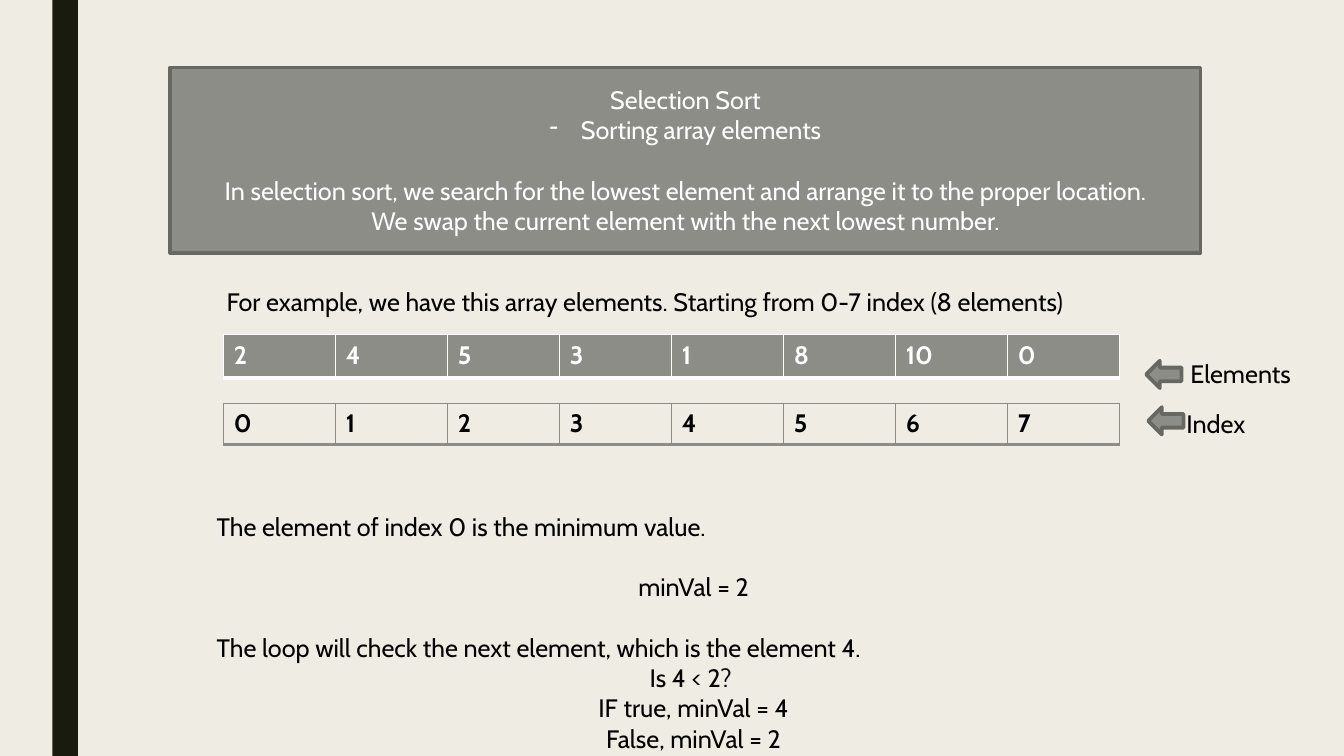
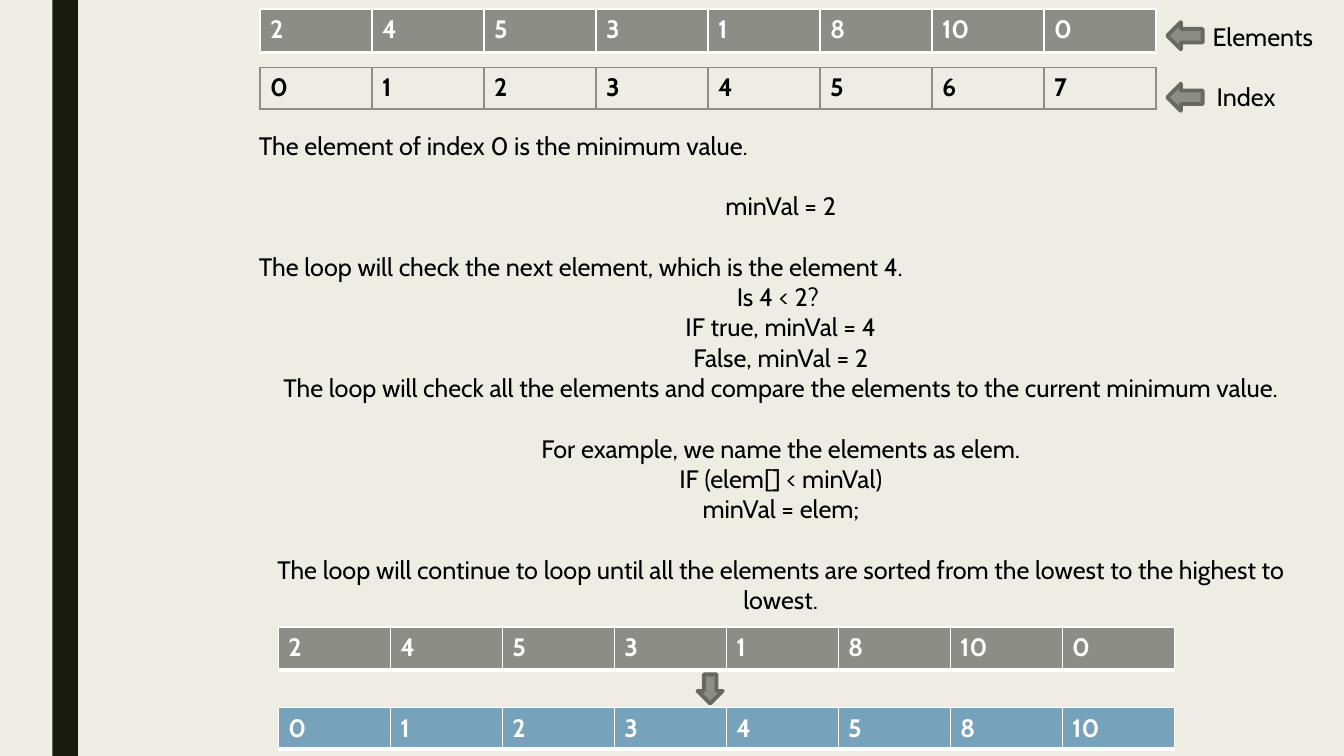
from collections import namedtuple

from lxml.etree import SubElement
from pptx import Presentation
from pptx.dml.color import RGBColor
from pptx.enum.shapes import MSO_SHAPE as SHAPE
from pptx.enum.text import MSO_ANCHOR as ANCHOR, MSO_AUTO_SIZE as AUTO, PP_ALIGN as ALIGN
from pptx.oxml.ns import qn
from pptx.util import Emu, Inches, Pt

W, H = Inches(13.333), Inches(7.5)
COL, ROW = W / 100, H / 100  # all places are given on a 100 x 100 grid
FONT, SIZE, LINE_GAP = "Cabin", 18, 21.75
PAPER, BAND, GREY, EDGE, BLUE = "EFEDE3", "191B0E", "8C8D86", "686863", "77A2BB"
WHITE, BLACK = "FFFFFF", "000000"
TABLE_W, ELEMENT_H, INDEX_H, LABEL_W, LABEL_H = 66.67, 5.73, 5.47, 9.83, 5.33

Line = namedtuple("Line", "text centred gap bullet", defaults=(False, False, False))

ELEMENTS = [2, 4, 5, 3, 1, 8, 10, 0]
INTRO = [
    Line("Selection Sort", True),
    Line("Sorting array elements", True, bullet=True),
    Line("In selection sort, we search for the lowest element and arrange it "
         "to the proper location.", True, gap=True),
    Line("We swap the current element with the next lowest number.", True),
]
FIRST_CHECK = [
    Line("The element of index 0 is the minimum value."),
    Line("minVal = 2", True, gap=True),
    Line("The loop will check the next element, which is the element 4.", gap=True),
    Line("Is 4 < 2? ", True),
    Line("IF true, minVal = 4", True),
    Line("False, minVal = 2", True),
]
FULL_LOOP = [
    Line("The loop will check all the elements and compare the elements to the "
         "current minimum value.", True),
    Line("For example, we name the elements as elem.", True, gap=True),
    Line("IF (elem[] < minVal)", True),
    Line("minVal = elem;", True),
    Line("The loop will continue to loop until all the elements are sorted from "
         "the lowest to the highest to lowest.", True, gap=True),
]


def rgb(value):
    """Turn a hex string into a colour."""
    return RGBColor.from_string(value)


def place(x, y, w, h):
    """Turn grid columns and rows into slide lengths."""
    return [Emu(round(n * unit)) for n, unit in zip((x, y, w, h), (COL, ROW) * 2)]


def style(p, color, bold=False):
    """Give the runs of a paragraph the common font."""
    for r in p.runs:
        r.font.name, r.font.size, r.font.bold = FONT, Pt(SIZE), bold
        r.font.color.rgb = rgb(color)


def add_dash(p):
    """Give a paragraph a hanging dash bullet."""
    pPr = p._p.get_or_add_pPr()
    pPr.set("marL", str(Inches(0.31)))
    pPr.set("indent", str(-Inches(0.31)))
    SubElement(pPr, qn("a:buChar")).set("char", "-")


def write(tf, lines, color):
    """Fill a text frame, one paragraph a line."""
    tf.text = "\n".join(line.text for line in lines)
    for p, line in zip(tf.paragraphs, lines):
        p.alignment = ALIGN.CENTER if line.centred else ALIGN.LEFT
        if line.gap:
            p.space_before = Pt(LINE_GAP)
        if line.bullet:
            add_dash(p)
        style(p, color)


def add_block(s, kind, box, fill=GREY, edge=EDGE):
    """Add a filled preset shape, outlined if an edge colour is given."""
    sp = s.shapes.add_shape(kind, *place(*box))
    sp.shadow.inherit = False
    sp.fill.solid()
    sp.fill.fore_color.rgb = rgb(fill)
    if edge:
        sp.line.color.rgb = rgb(edge)
        sp.line.width = Pt(2.75)
    else:
        sp.line.fill.background()
    return sp


def add_text(s, box, lines):
    """Add a wrapping text box in black."""
    tf = s.shapes.add_textbox(*place(*box)).text_frame
    tf.word_wrap = True
    tf.auto_size = AUTO.SHAPE_TO_FIT_TEXT
    write(tf, lines, BLACK)


def add_label(s, x, y, text):
    """Add the name of a table row."""
    add_text(s, (x, y, LABEL_W, LABEL_H), [Line(text)])


def add_left_arrow(s, x, y):
    """Add an arrow that points at a table row."""
    add_block(s, SHAPE.LEFT_ARROW, (x, y, 2.63, 3.6))


def set_borders(cell, color, bottom):
    """Draw thin cell borders with a heavier bottom one."""
    tcPr = cell._tc.get_or_add_tcPr()
    for side in "LRTB":
        width = Pt(bottom if side == "B" else 1)
        ln = SubElement(tcPr, qn(f"a:ln{side}"), w=str(width))
        SubElement(SubElement(ln, qn("a:solidFill")), qn("a:srgbClr"), val=color)


def add_array(s, x, y, h, values, fill=None):
    """Add a one-row table: white on a fill, or black with grey borders."""
    frame = s.shapes.add_table(1, len(values), *place(x, y, TABLE_W, h))
    table = frame.table
    table.first_row = table.horz_banding = False
    for cell, value in zip(table.rows[0].cells, values):
        cell.text = str(value)
        style(cell.text_frame.paragraphs[0], WHITE if fill else BLACK, bold=True)
        set_borders(cell, WHITE if fill else GREY, 3 if fill else 2)
        if fill:
            cell.fill.solid()
            cell.fill.fore_color.rgb = rgb(fill)
        else:
            cell.fill.background()


def add_elements(s, x, y):
    """Add the unsorted array."""
    add_array(s, x, y, ELEMENT_H, ELEMENTS, GREY)


def add_index(s, x, y):
    """Add the row of index numbers."""
    add_array(s, x, y, INDEX_H, range(len(ELEMENTS)))


def set_master(prs, s):
    """Put the background and the side band on the slide master."""
    master = prs.slide_master
    master.background.fill.solid()
    master.background.fill.fore_color.rgb = rgb(PAPER)
    band = add_block(s, SHAPE.RECTANGLE, (3.9, 0, 1.9, 100), BAND, None)
    band.element.nvSpPr.cNvPr.set("id", "20")
    master.shapes.element.append(band.element)


def build_intro(s):
    """Build the slide that introduces selection sort."""
    panel = add_block(s, SHAPE.RECTANGLE, (12.68, 8.93, 76.65, 24.53))
    panel.text_frame.word_wrap = True
    panel.text_frame.vertical_anchor = ANCHOR.MIDDLE
    write(panel.text_frame, INTRO, WHITE)
    add_elements(s, 16.65, 44.27)
    add_text(s, (16.12, 37.2, TABLE_W, LABEL_H), [
        Line("For example, we have this array elements. "
             "Starting from 0-7 index (8 elements)")])
    add_index(s, 16.65, 53.33)
    add_label(s, 87.53, 53.33, "Index")
    add_left_arrow(s, 85.43, 53.87)
    add_label(s, 87.83, 46.67, "Elements")
    add_left_arrow(s, 85.28, 47.73)
    add_text(s, (15.38, 66.93, 72.45, 37.73), FIRST_CHECK)


def build_loop(s):
    """Build the slide that follows the loop to the sorted array."""
    add_elements(s, 19.35, 1.2)
    add_index(s, 19.35, 8.93)
    add_label(s, 89.78, 10.13, "Index")
    add_left_arrow(s, 86.85, 11.07)
    add_left_arrow(s, 86.85, 2.93)
    add_label(s, 89.48, 2.13, "Elements")
    add_text(s, (18.53, 16.53, 79.13, 78.13), FIRST_CHECK + FULL_LOOP)
    add_elements(s, 20.7, 82.93)
    add_block(s, SHAPE.DOWN_ARROW, (51.9, 89.2, 1.88, 3.87))
    add_array(s, 20.7, 93.6, INDEX_H, sorted(ELEMENTS), BLUE)


def main():
    """Build and save the presentation."""
    prs = Presentation()
    prs.slide_width, prs.slide_height = W, H
    blank = prs.slide_layouts[6]
    intro, loop = (prs.slides.add_slide(blank) for _ in range(2))
    set_master(prs, intro)
    build_intro(intro)
    build_loop(loop)
    prs.save("out.pptx")


main()
